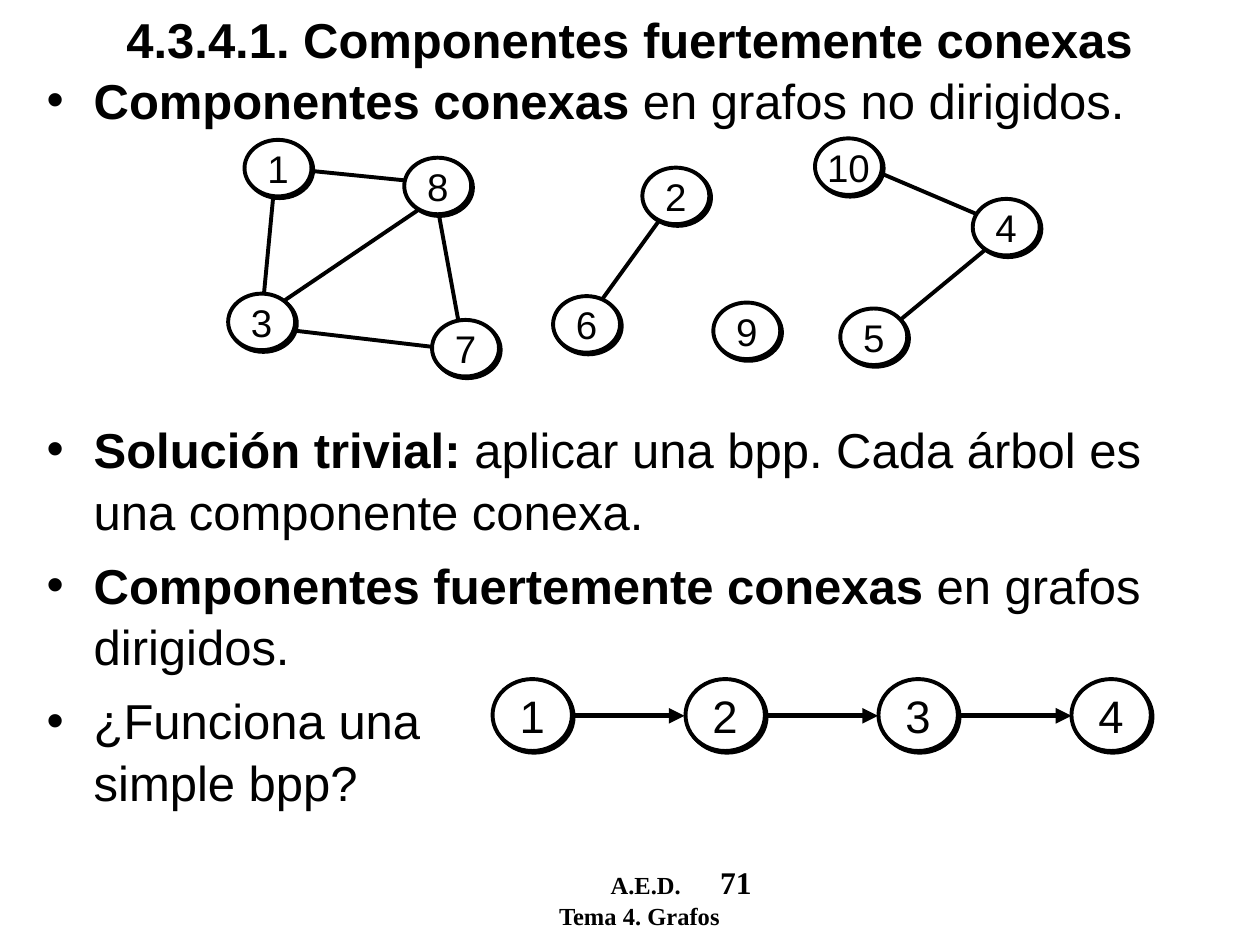
from dataclasses import dataclass
from typing import Any

from pptx import Presentation
from pptx.dml.color import RGBColor
from pptx.enum.shapes import MSO_CONNECTOR, MSO_SHAPE
from pptx.enum.text import MSO_ANCHOR, MSO_AUTO_SIZE, PP_ALIGN
from pptx.oxml.ns import qn
from pptx.util import Cm, Pt
from lxml.etree import SubElement


@dataclass(frozen=True)
class Theme:
    ink: RGBColor = RGBColor(0x00, 0x00, 0x00)
    paper: RGBColor = RGBColor(0xFF, 0xFF, 0xFF)
    sans: str = "Arial"
    serif: str = "Times New Roman"
    text: float = 28
    graph_label: float = 22
    chain_label: float = 26
    footer: float = 14
    page_number: float = 18
    outline: float = 2.25
    arrow: float = 3


@dataclass(frozen=True)
class Node:
    label: str
    left: float
    top: float


@dataclass(frozen=True)
class NodeStyle:
    width: float
    height: float
    size: float


@dataclass(frozen=True)
class Edge:
    start_x: float
    start_y: float
    end_x: float
    end_y: float


@dataclass(frozen=True)
class Bullet:
    strong: str
    plain: str
    space_before: float


THEME = Theme()
GRAPH_STYLE = NodeStyle(1.35, 1.14, THEME.graph_label)
CHAIN_STYLE = NodeStyle(1.6, 1.45, THEME.chain_label)

GRAPH_EDGES = [
    Edge(6.12, 3.43, 8.89, 3.71),
    Edge(8.79, 4.01, 9.27, 6.63),
    Edge(8.76, 4.01, 5.11, 6.48),
    Edge(5.51, 3.94, 5.31, 6.05),
    Edge(5.64, 6.63, 9.55, 7.09),
    Edge(13.69, 3.89, 11.91, 6.35),
    Edge(20.12, 4.5, 17.42, 3.35),
    Edge(20.17, 4.78, 17.65, 6.86),
]
GRAPH_NODES = [
    Node("1", 4.93, 2.82),
    Node("2", 12.95, 3.38),
    Node("3", 4.6, 5.92),
    Node("7", 8.71, 6.45),
    Node("8", 8.15, 3.18),
    Node("6", 11.15, 5.97),
    Node("4", 19.61, 4.01),
    Node("9", 14.38, 6.1),
    Node("5", 16.94, 6.22),
    Node("10", 16.43, 2.79),
]
CHAIN_NODES = [Node(str(i + 1), 9.93 + 3.89 * i, 13.69) for i in range(4)]
CHAIN_EDGES = [Edge(11.56 + 3.9 * i, 14.43, 13.8 + 3.9 * i, 14.43) for i in range(3)]

BULLETS = [
    Bullet("Componentes conexas", " en grafos no dirigidos.", 0),
    Bullet("Solución trivial:", " aplicar una bpp. Cada árbol es una componente conexa.", 164),
    Bullet("Componentes fuertemente conexas", " en grafos dirigidos.", 7),
    Bullet("", "¿Funciona una\nsimple bpp?", 7),
]


def add_run(paragraph: Any, text: str, size: float, font: str = THEME.sans, bold: bool = False) -> None:
    """Append one formatted run to a paragraph."""
    run = paragraph.add_run()
    run.text = text
    run.font.name = font
    run.font.size = Pt(size)
    run.font.bold = bold
    run.font.color.rgb = THEME.ink


def set_indent(paragraph: Any, margin: float, first_line: float) -> Any:
    """Set the left margin and first-line indent and return the paragraph properties."""
    properties = paragraph._p.get_or_add_pPr()
    properties.set("marL", str(Cm(margin)))
    properties.set("indent", str(Cm(first_line)))
    return properties


def add_title(slide: Any) -> None:
    """Place and fill the title placeholder."""
    title = slide.shapes.title
    title.left, title.top, title.width, title.height = Cm(0.84), Cm(0), Cm(23.7), Cm(1.55)
    frame = title.text_frame
    frame.auto_size = MSO_AUTO_SIZE.NONE
    frame.vertical_anchor = MSO_ANCHOR.MIDDLE
    paragraph = frame.paragraphs[0]
    paragraph.alignment = PP_ALIGN.CENTER
    add_run(paragraph, "4.3.4.1. Componentes fuertemente conexas", THEME.text, bold=True)


def add_bullets(slide: Any, bullets: list[Bullet]) -> None:
    """Write the bulleted text around the graphs."""
    frame = slide.shapes.add_textbox(Cm(0.69), Cm(1.24), Cm(24.18), Cm(16.15)).text_frame
    frame.word_wrap = True
    for index, bullet in enumerate(bullets):
        paragraph = frame.add_paragraph() if index else frame.paragraphs[0]
        properties = set_indent(paragraph, 0.95, -0.95)
        SubElement(properties, qn("a:buFont"), typeface=THEME.sans)
        SubElement(properties, qn("a:buChar"), char="•")
        paragraph.line_spacing = 1.05
        paragraph.space_before = Pt(bullet.space_before)
        if bullet.strong:
            add_run(paragraph, bullet.strong, THEME.text, bold=True)
        for line_index, line in enumerate(bullet.plain.split("\n")):
            if line_index:
                paragraph.add_line_break()
            add_run(paragraph, line, THEME.text)


def add_edge(shapes: Any, edge: Edge, width: float, arrow: bool = False) -> None:
    """Draw a line between two points, with an arrowhead on request."""
    connector = shapes.add_connector(
        MSO_CONNECTOR.STRAIGHT, Cm(edge.start_x), Cm(edge.start_y), Cm(edge.end_x), Cm(edge.end_y)
    )
    connector.line.color.rgb = THEME.ink
    connector.line.width = Pt(width)
    properties = connector.element.spPr
    if arrow:
        SubElement(properties.find(qn("a:ln")), qn("a:tailEnd"), type="triangle")
    SubElement(properties, qn("a:effectLst"))


def add_node(shapes: Any, node: Node, style: NodeStyle) -> None:
    """Draw a labelled ellipse with a hard shadow."""
    shape = shapes.add_shape(
        MSO_SHAPE.OVAL, Cm(node.left), Cm(node.top), Cm(style.width), Cm(style.height)
    )
    shape.fill.solid()
    shape.fill.fore_color.rgb = THEME.paper
    shape.line.color.rgb = THEME.ink
    shape.line.width = Pt(THEME.outline)
    shape.shadow.inherit = False
    effects = shape.element.spPr.find(qn("a:effectLst"))
    shadow = SubElement(
        effects, qn("a:outerShdw"), blurRad="0", dist=str(Pt(1.4)), dir="2700000", algn="ctr", rotWithShape="0"
    )
    SubElement(shadow, qn("a:srgbClr"), val=str(THEME.ink))
    frame = shape.text_frame
    frame.word_wrap = False
    frame.vertical_anchor = MSO_ANCHOR.MIDDLE
    paragraph = frame.paragraphs[0]
    paragraph.alignment = PP_ALIGN.CENTER
    add_run(paragraph, node.label, style.size)


def add_footer(slide: Any) -> None:
    """Write the course name, page number and topic."""
    frame = slide.shapes.add_textbox(Cm(9.19), Cm(17.27), Cm(14.73), Cm(1.27)).text_frame
    frame.word_wrap = True
    course = frame.paragraphs[0]
    tabs = SubElement(set_indent(course, 0, 2.87), qn("a:tabLst"))
    SubElement(tabs, qn("a:tab"), pos=str(Cm(12.67)), algn="l")
    add_run(course, "A.E.D.\t", THEME.footer, THEME.serif, True)
    add_run(course, "71", THEME.page_number, THEME.serif, True)
    topic = frame.add_paragraph()
    set_indent(topic, 1.83, 0)
    add_run(topic, "Tema 4. Grafos", THEME.footer, THEME.serif, True)


def main() -> None:
    """Build and save the slide."""
    presentation = Presentation()
    presentation.slide_width, presentation.slide_height = Cm(25.4), Cm(19.05)
    slide = presentation.slides.add_slide(presentation.slide_layouts[5])
    add_footer(slide)
    add_title(slide)
    add_bullets(slide, BULLETS)
    graph = slide.shapes.add_group_shape().shapes
    for edge in GRAPH_EDGES:
        add_edge(graph, edge, THEME.outline)
    for node in GRAPH_NODES:
        add_node(graph, node, GRAPH_STYLE)
    chain = slide.shapes.add_group_shape().shapes
    for node in CHAIN_NODES:
        add_node(chain, node, CHAIN_STYLE)
    for edge in CHAIN_EDGES:
        add_edge(chain, edge, THEME.arrow, arrow=True)
    presentation.save("out.pptx")


if __name__ == "__main__":
    main()
